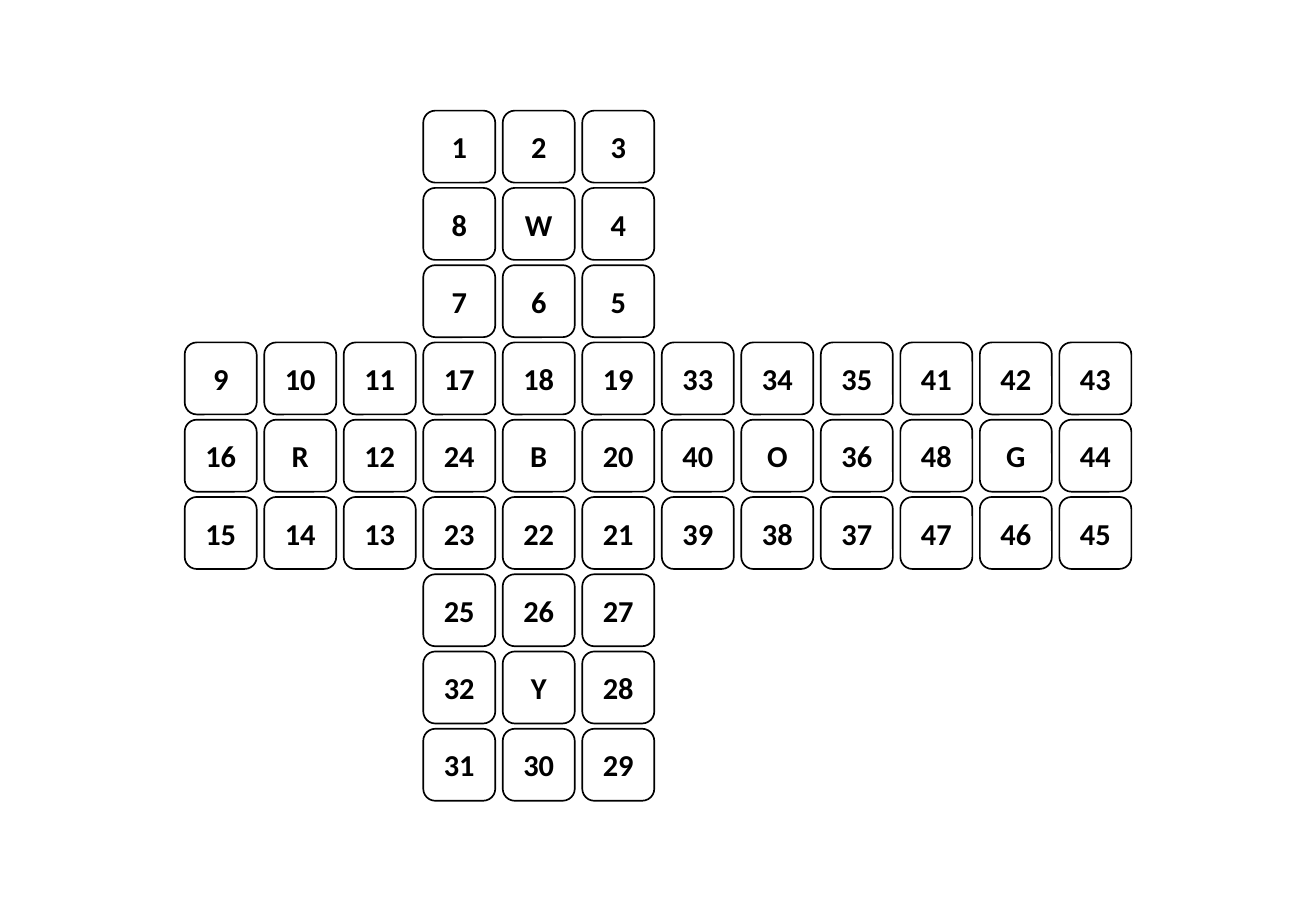
from pptx import Presentation
from pptx import util as u
from pptx.dml.color import RGBColor
from pptx.enum import shapes, text

FACES = [
    ("R", 9, 0, 3),
    ("B", 17, 3, 3),
    ("O", 33, 6, 3),
    ("G", 41, 9, 3),
    ("W", 1, 3, 0),
    ("Y", 25, 3, 6),
]
CLOCKWISE = [(0, 0), (1, 0), (2, 0), (2, 1), (2, 2), (1, 2), (0, 2), (0, 1)]
CENTRE = (1, 1)

COLOURS = {"ink": "000000"}
INK = RGBColor.from_string(COLOURS["ink"])
FONT = {"name": "Calibri", "size": u.Pt(18), "bold": True}

SLIDE_WIDTH, SLIDE_HEIGHT = 780, 540
NET_LEFT, NET_TOP = 109.5, 65.6
STICKER = 42.7
COLUMN_STEP, ROW_STEP = 47.13, 45.8


def add_sticker(slide, label, column, row):
    sticker = slide.shapes.add_shape(
        shapes.MSO_SHAPE.ROUNDED_RECTANGLE,
        u.Pt(NET_LEFT + column * COLUMN_STEP),
        u.Pt(NET_TOP + row * ROW_STEP),
        u.Pt(STICKER),
        u.Pt(STICKER),
    )
    sticker.shadow.inherit = False
    sticker.fill.background()
    sticker.line.color.rgb = INK
    sticker.line.width = u.Pt(1)
    sticker.text_frame.vertical_anchor = text.MSO_ANCHOR.MIDDLE
    paragraph = sticker.text_frame.paragraphs[0]
    paragraph.alignment = text.PP_ALIGN.CENTER
    run = paragraph.add_run()
    run.text = label
    for key, value in FONT.items():
        setattr(run.font, key, value)
    run.font.color.rgb = INK


def main():
    deck = Presentation()
    deck.slide_width, deck.slide_height = u.Pt(SLIDE_WIDTH), u.Pt(SLIDE_HEIGHT)
    slide = deck.slides.add_slide(deck.slide_layouts[6])
    for letter, first, face_column, face_row in FACES:
        labels = {cell: str(first + i) for i, cell in enumerate(CLOCKWISE)}
        labels[CENTRE] = letter
        for (column, row), label in sorted(labels.items()):
            add_sticker(slide, label, face_column + column, face_row + row)
    deck.save("out.pptx")


if __name__ == "__main__":
    main()
